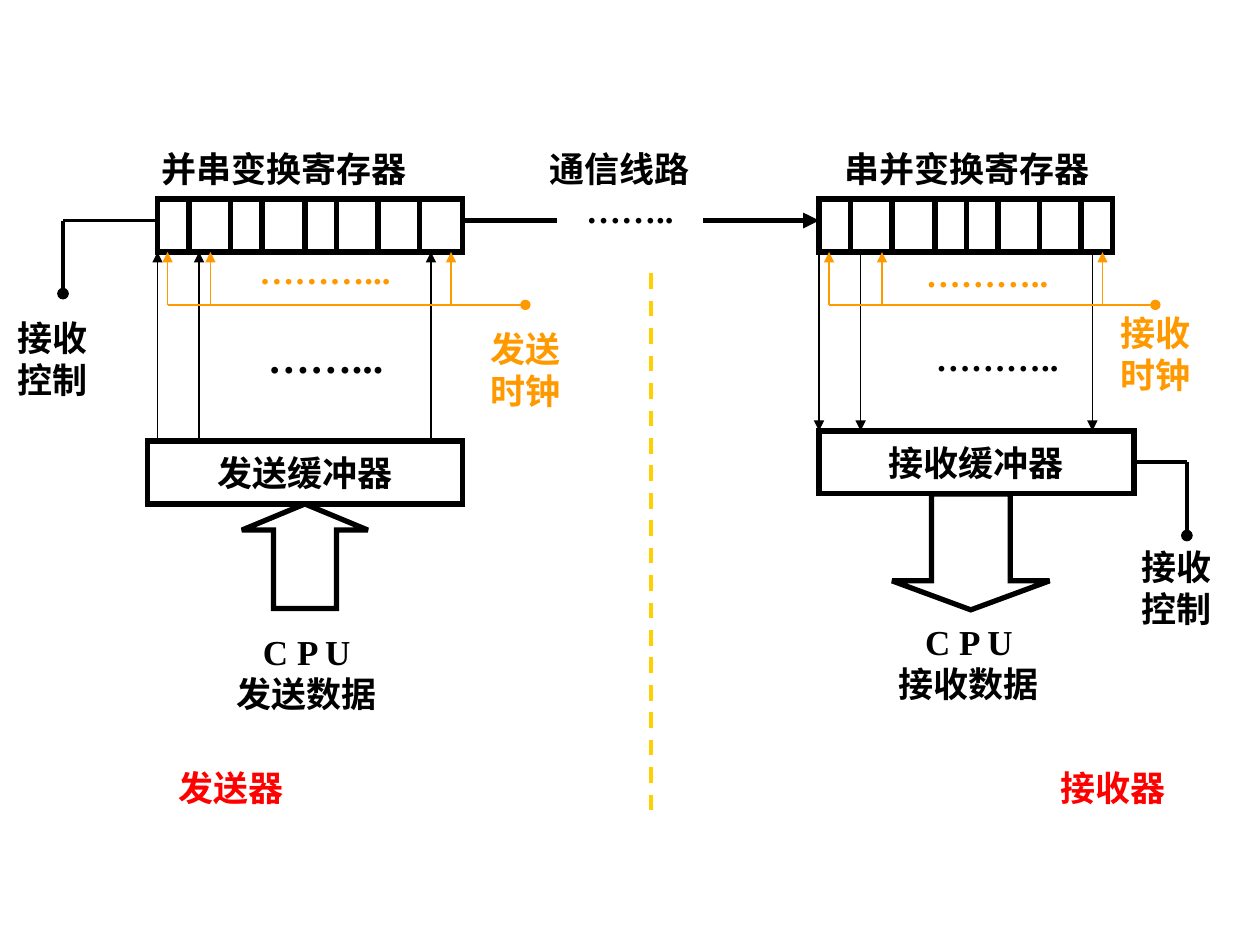
from typing import NamedTuple

import pptx
import pptx.dml.color
import pptx.enum.dml
import pptx.enum.shapes
import pptx.enum.text
import pptx.oxml
import pptx.oxml.ns
import pptx.util
from pptx.util import Inches

COLORS = {"ink": "000000", "paper": "FFFFFF", "clock": "FF9900",
          "divider": "FFCF01", "role": "FF0000"}
FONT = {"name": "Times New Roman", "bold": True}
FRAME = {
    "vertical_anchor": pptx.enum.text.MSO_ANCHOR.MIDDLE,
    "margin_left": Inches(0.02), "margin_right": Inches(0.02),
    "margin_top": Inches(0.05), "margin_bottom": Inches(0.05),
}
SHAPE = pptx.enum.shapes.MSO_SHAPE
REGISTER_TOP, REGISTER_BOTTOM, WIRE_Y, CLOCK_Y = 1.58, 2, 1.75, 2.42


class Block(NamedTuple):
    left: float
    top: float
    width: float
    height: float
    text: str = ""
    preset: SHAPE = SHAPE.RECTANGLE


class Wire(NamedTuple):
    x1: float
    y1: float
    x2: float
    y2: float
    weight: float = 3
    tail: str = ""
    color: str = "ink"
    dashed: bool = False


class Label(NamedTuple):
    left: float
    top: float
    width: float
    height: float
    text: str
    color: str = "ink"
    size: int = 20
    wrap: bool = False


class Station(NamedTuple):
    """One end of the link: register, buffer, data lines, clock and control."""
    register: Block
    buffer: Block
    cpu_arrow: Block
    cells: tuple[float, ...]
    data_lines: tuple[float, ...]
    sending: bool
    clock_ticks: tuple[float, ...]
    clock_end: float
    control: tuple[float, float, float]


STATIONS = (
    Station(
        Block(1.25, REGISTER_TOP, 2.42, 0.42),
        Block(1.17, 3.5, 2.5, 0.5, "发送缓冲器"),
        Block(1.92, 4, 1, 0.83, preset=SHAPE.UP_ARROW),
        (1.5, 1.83, 2.08, 2.42, 2.67, 3, 3.33),
        (1.25, 1.58, 3.42), True,
        (1.33, 1.67, 3.58), 4.17,
        (1.25, 0.5, WIRE_Y),
    ),
    Station(
        Block(6.5, REGISTER_TOP, 2.33, 0.42),
        Block(6.5, 3.42, 2.5, 0.5, "接收缓冲器"),
        Block(7.08, 3.92, 1.25, 0.92, preset=SHAPE.DOWN_ARROW),
        (6.75, 7.08, 7.42, 7.67, 7.92, 8.25, 8.58),
        (6.5, 6.83, 8.67), False,
        (6.58, 7, 8.75), 9.17,
        (9, 9.42, 3.67),
    ),
)

LINK = (
    Wire(3.67, WIRE_Y, 4.42, WIRE_Y),
    Wire(5.58, WIRE_Y, 6.5, WIRE_Y, tail="triangle"),
    Wire(5.17, 2.17, 5.17, 6.5, 2.25, color="divider", dashed=True),
)

LABELS = (
    Label(1.18, 1.12, 2.15, 0.44, "并串变换寄存器"),
    Label(4.26, 1.12, 1.31, 0.44, "通信线路"),
    Label(6.6, 1.12, 2.15, 0.44, "串并变换寄存器"),
    Label(4.55, 1.44, 0.9, 0.44, "……..", wrap=True),
    Label(1.96, 1.93, 1.24, 0.44, "………...", "clock", wrap=True),
    Label(7.25, 1.95, 1.17, 0.44, "………..", "clock"),
    Label(2.03, 2.58, 1.11, 0.5, "……...", size=24),
    Label(7.33, 2.62, 1.17, 0.44, "……….."),
    Label(3.79, 2.55, 0.76, 0.77, "发送\n时钟", "clock", wrap=True),
    Label(8.79, 2.42, 0.76, 0.77, "接收\n时钟", "clock", wrap=True),
    Label(0.04, 2.46, 0.76, 0.77, "接收\n控制", wrap=True),
    Label(8.96, 4.28, 0.75, 0.77, "接收\n控制"),
    Label(1.7, 4.95, 1.47, 0.77, "C P U\n发送数据", wrap=True),
    Label(6.71, 4.87, 1.96, 0.77, "C P U\n接收数据", wrap=True),
    Label(1.32, 6.03, 1.03, 0.44, "发送器", "role"),
    Label(8.32, 6.03, 1.03, 0.44, "接收器", "role"),
)


def rgb(color: str) -> pptx.dml.color.RGBColor:
    return pptx.dml.color.RGBColor.from_string(COLORS[color])


def append_xml(parent, tag: str, attributes: str = "") -> None:
    namespace = pptx.oxml.ns.nsdecls("a")
    parent.append(pptx.oxml.parse_xml(f"<a:{tag} {namespace} {attributes}/>"))


def write(frame, text: str, color: str, size: int, wrap: bool) -> None:
    for attribute, value in FRAME.items():
        setattr(frame, attribute, value)
    frame.word_wrap = wrap
    frame.text = text
    for paragraph in frame.paragraphs:
        paragraph.alignment = pptx.enum.text.PP_ALIGN.CENTER
        for attribute, value in (FONT | {"size": pptx.util.Pt(size)}).items():
            setattr(paragraph.font, attribute, value)
        paragraph.font.color.rgb = rgb(color)


def draw_block(slide, block: Block) -> None:
    box = slide.shapes.add_shape(block.preset, *map(Inches, block[:4]))
    box.shadow.inherit = False
    box.fill.solid()
    box.fill.fore_color.rgb = rgb("paper")
    paper = box._element.spPr.find(".//" + pptx.oxml.ns.qn("a:srgbClr"))
    append_xml(paper, "alpha", 'val="50000"')
    box.line.color.rgb = rgb("ink")
    box.line.width = pptx.util.Pt(3)
    append_xml(box.line._get_or_add_ln(), "miter", 'lim="800000"')
    if block.preset != SHAPE.RECTANGLE:
        box.adjustments[0], box.adjustments[1] = 0.5, 0.25
    if block.text:
        write(box.text_frame, block.text, "ink", 20, False)


def draw_wire(slide, wire: Wire) -> None:
    connector = slide.shapes.add_connector(
        pptx.enum.shapes.MSO_CONNECTOR.STRAIGHT, *map(Inches, wire[:4]))
    connector.line.color.rgb = rgb(wire.color)
    connector.line.width = pptx.util.Pt(wire.weight)
    if wire.dashed:
        connector.line.dash_style = pptx.enum.dml.MSO_LINE.DASH
    if wire.tail:
        append_xml(connector.line._get_or_add_ln(), "tailEnd",
                   f'type="{wire.tail}"')
    append_xml(connector._element.spPr, "effectLst")


def draw_label(slide, label: Label) -> None:
    box = slide.shapes.add_textbox(*map(Inches, label[:4]))
    write(box.text_frame, label.text, label.color, label.size, label.wrap)
    box.text_frame.auto_size = pptx.enum.text.MSO_AUTO_SIZE.SHAPE_TO_FIT_TEXT


def station_wires(station: Station) -> list[Wire]:
    start, end = REGISTER_BOTTOM, station.buffer.top
    if station.sending:
        start, end = end, start
    near, far, level = station.control
    return [
        *(Wire(x, REGISTER_TOP, x, REGISTER_BOTTOM) for x in station.cells),
        *(Wire(x, start, x, end, 1, "triangle") for x in station.data_lines),
        *(Wire(x, CLOCK_Y, x, REGISTER_BOTTOM, 1, "triangle", "clock")
          for x in station.clock_ticks),
        Wire(station.clock_ticks[0], CLOCK_Y, station.clock_end, CLOCK_Y,
             1, "oval", "clock"),
        Wire(near, level, far, level, 2.25),
        Wire(far, level, far, level + 0.58, 2.25, "oval"),
    ]


def main() -> None:
    deck = pptx.Presentation()
    deck.slide_width, deck.slide_height = Inches(10), Inches(7.5)
    slide = deck.slides.add_slide(deck.slide_layouts[6])
    for station in STATIONS:
        for block in (station.register, station.buffer, station.cpu_arrow):
            draw_block(slide, block)
        for wire in station_wires(station):
            draw_wire(slide, wire)
    for wire in LINK:
        draw_wire(slide, wire)
    for label in LABELS:
        draw_label(slide, label)
    deck.save("out.pptx")


if __name__ == "__main__":
    main()
